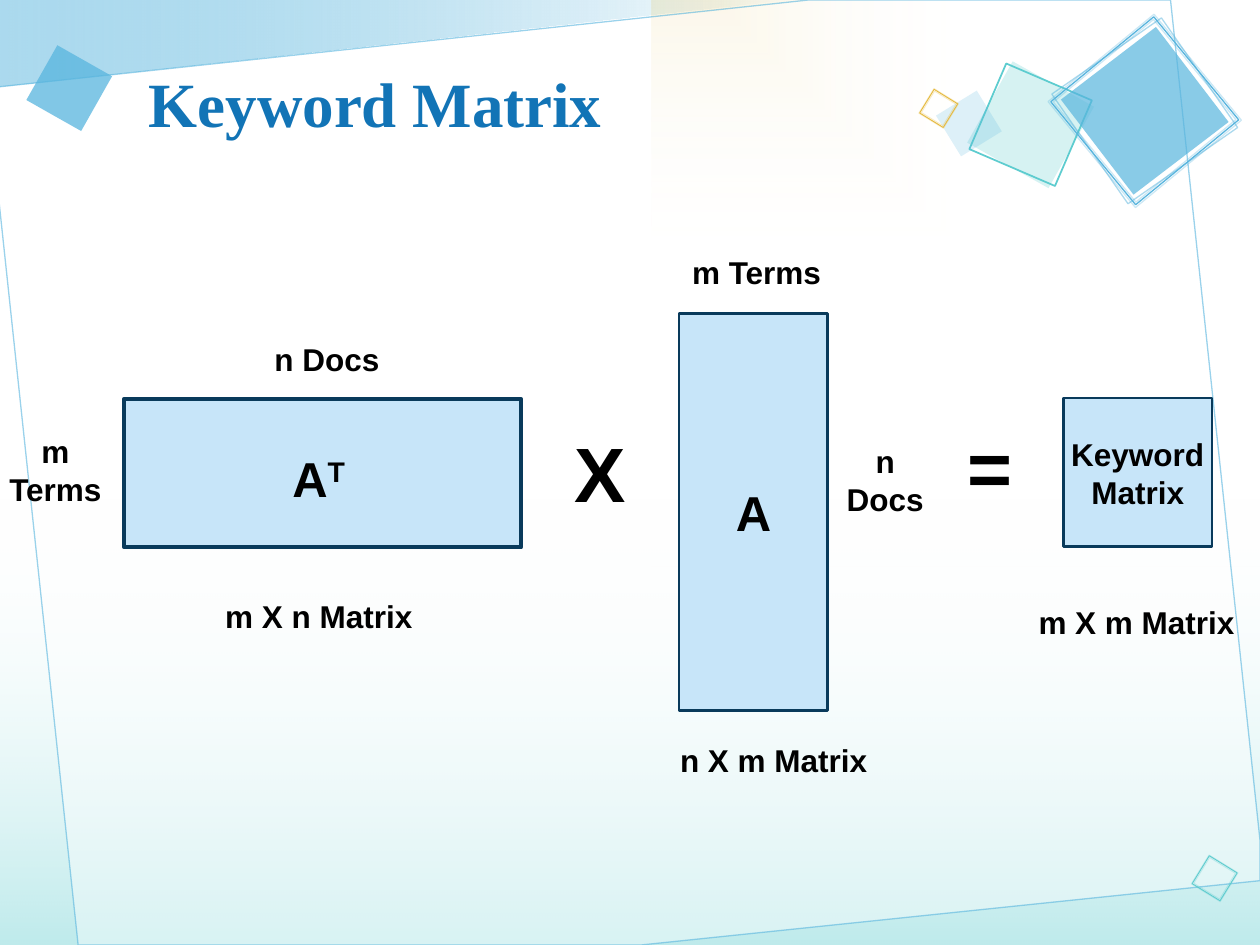
import pptx
import pptx.dml.color
import pptx.enum.shapes
import pptx.enum.text
import pptx.oxml
import pptx.oxml.ns
import pptx.util
from lxml import etree

THEME = {
    "blue": "58B5DE", "teal": "5DCCCF", "gold": "E6BA3E", "white": "FFFFFF",
    "title": "1274B6", "matrix": "C7E5F9", "edge": "093A5B", "ink": "000000",
    "title_font": "Times New Roman", "body_font": "Arial",
    "title_size": 36, "label_size": 18, "name_size": 28, "sign_size": 44,
}
qn = pptx.oxml.ns.qn
RECT = pptx.enum.shapes.MSO_SHAPE.RECTANGLE
ALIGN = pptx.enum.text.PP_ALIGN
ANCHOR = pptx.enum.text.MSO_ANCHOR
FIT = pptx.enum.text.MSO_AUTO_SIZE

prs = pptx.Presentation()
prs.slide_width = pptx.util.Inches(10)
prs.slide_height = pptx.util.Inches(7.5)
slide = prs.slides.add_slide(prs.slide_layouts[5])
shapes = slide.shapes

# Grid of 100 columns by 75 rows; every cell is square
cell = prs.slide_width // 100


def paint(shape, fill=(), line=None, angle=0):
    """Fill is a list of (colour, opacity) stops; line is (colour, points, opacity)."""
    shape.shadow.inherit = False
    colours = []
    if len(fill) == 2:
        shape.fill.gradient()
        shape.fill.gradient_angle = angle
        colours += [(stop.color, *tone) for stop, tone in zip(shape.fill.gradient_stops, fill)]
    elif fill:
        shape.fill.solid()
        colours.append((shape.fill.fore_color, *fill[0]))
    else:
        shape.fill.background()
    if line:
        shape.line.width = pptx.util.Pt(line[1])
        shape.line.fill.solid()
        colours.append((shape.line.color, line[0], line[2]))
    else:
        shape.line.fill.background()
    for colour, name, _ in colours:
        colour.rgb = pptx.dml.color.RGBColor.from_string(THEME[name])
    for node, tone in zip(shape.element.spPr.iter(qn("a:srgbClr")), colours):
        if tone[2] < 100:
            etree.SubElement(node, qn("a:alpha")).set("val", str(tone[2] * 1000))


def write(shape, text, size, align=ALIGN.CENTER, font="body_font", colour="ink"):
    shape.text_frame.text = text
    for paragraph in shape.text_frame.paragraphs:
        paragraph.alignment = align
        for run in paragraph.runs:
            run.font.name = THEME[font]
            run.font.size = pptx.util.Pt(THEME[size])
            run.font.bold = True
            run.font.color.rgb = pptx.dml.color.RGBColor.from_string(THEME[colour])


# Backdrop: corner wedge, bottom wash, gold glow and tilted sheet
wedge = [(0, 0), (0, 6.9), (63.3, 0)]
sheet = [(-0.1, 15.8), (6.2, 75), (50.9, 75), (100, 69.9), (100, 66.7),
         (92.9, 0), (64.2, 0), (-0.1, 6.9)]
outlines = []
for corners in (wedge, sheet):
    points = [(round(x * cell), round(y * cell)) for x, y in corners]
    builder = shapes.build_freeform(*points[0])
    builder.add_line_segments(points[1:], close=True)
    outlines.append(builder.convert_to_shape())
paint(outlines[0], [("blue", 50), ("white", 100)])

wash = shapes.add_shape(RECT, 0, 39.2 * cell, 100 * cell, 35.8 * cell)
paint(wash, [("white", 0), ("teal", 40)], angle=270)

glow = shapes.add_shape(RECT, 51.7 * cell, 0, 48.3 * cell, 45 * cell)
paint(glow, [("gold", 20), ("white", 0)])
glow.element.spPr.find(qn("a:xfrm")).set("flipH", "1")
direction = next(glow.element.spPr.iter(qn("a:lin")))
direction.getparent().replace(direction, pptx.oxml.parse_xml(
    f'<a:path {pptx.oxml.ns.nsdecls("a")} path="rect">'
    '<a:fillToRect l="0" t="0" r="100000" b="100000"/></a:path>'))

paint(outlines[1], [("white", 40)], ("blue", 0.75, 60))
shapes.element.append(outlines[1].element)

# Tilted squares: each cluster shares one centre; (side, turn, fill, line)
clusters = [
    (81.8, 9.9, [(7.4, 299.2, [("teal", 25)], None),
                 (7.4, 293.3, [], ("teal", 1, 100))]),
    (76.9, 9.8, [(3.8, 328.4, [("blue", 20)], None)]),
    (74.5, 8.6, [(2.2, 211.6, [], ("gold", 0.5, 100)),
                 (2, 211.6, [], ("gold", 0.5, 30)),
                 (2.3, 211.6, [], ("gold", 0.5, 30))]),
    (90.85, 8.8, [(9.5, 52.6, [("blue", 70)], None),
                  (10.6, 50.5, [], ("blue", 0.75, 100)),
                  (10.3, 50.5, [], ("blue", 0.75, 30)),
                  (10.9, 50.5, [], ("blue", 0.75, 30)),
                  (10.6, 55.2, [], ("blue", 0.75, 50))]),
    (5.5, 7, [(5, 29.5, [("blue", 75)], None)]),
    (96.4, 69.7, [(2.6, 211.6, [], ("teal", 0.5, 100)),
                  (2.4, 211.6, [], ("teal", 0.5, 30)),
                  (2.7, 211.6, [], ("teal", 0.5, 30))]),
]
for x, y, squares in clusters:
    for side, turn, fill, line in squares:
        square = shapes.add_shape(RECT, round((x - side / 2) * cell),
                                  round((y - side / 2) * cell),
                                  round(side * cell), round(side * cell))
        square.rotation = turn
        paint(square, fill, line)

# Title, brought in front of the backdrop
title = shapes.title
title.left, title.top, title.width, title.height = (
    round(share * cell) for share in (10.8, 3, 63.3, 10.3))
title.text_frame.vertical_anchor = ANCHOR.MIDDLE
write(title, "Keyword Matrix", "title_size", ALIGN.LEFT, "title_font", "title")
shapes.element.append(title.element)

# Matrices: the transpose is the same block turned a quarter
short, long = 11.8, 31.5
matrices = [
    (53.9, 24.9, long, 0, 1.5, "A", "name_size"),
    (19.7, 21.8, long, 90, 2.25, "", "name_size"),
    (84.4, 31.6, short, 0, 1.5, "Keyword\nMatrix", "label_size"),
]
for x, y, height, turn, weight, name, size in matrices:
    matrix = shapes.add_shape(RECT, round(x * cell), round(y * cell),
                              round(short * cell), round(height * cell))
    matrix.rotation = turn
    paint(matrix, [("matrix", 100)], ("edge", weight, 100))
    if name:
        matrix.text_frame.word_wrap = False
        matrix.text_frame.vertical_anchor = ANCHOR.MIDDLE
        write(matrix, name, size)

# Signs, dimensions and the name of the transpose
labels = [
    (44.3, 33.3, 6.7, 8.4, "X", "sign_size"),
    (75.2, 32.8, 6.7, 8.4, "=", "sign_size"),
    (12.7, 46.9, 25.2, 4, "m X n Matrix", "label_size"),
    (48.8, 58.3, 25.2, 4, "n X m Matrix", "label_size"),
    (77.6, 47.4, 25.2, 4, "m X m Matrix", "label_size"),
    (11.4, 26.5, 29.1, 4, "n Docs", "label_size"),
    (-0.4, 33.8, 9.6, 7.1, "m\nTerms", "label_size"),
    (53.9, 19.6, 12.3, 4, "m Terms", "label_size"),
    (55.7, 34.6, 29.1, 7.1, "n\nDocs", "label_size"),
    (14, 35.1, 22.6, 5.7, "A", "name_size"),
]
for x, y, width, height, text, size in labels:
    label = shapes.add_textbox(*(round(share * cell) for share in (x, y, width, height)))
    label.text_frame.word_wrap = True
    label.text_frame.auto_size = FIT.SHAPE_TO_FIT_TEXT
    write(label, text, size)

# Raised T after the last label
transpose = label.text_frame.paragraphs[0]
raised = transpose.add_run()
raised.text = "T"
raised.font.name = THEME["body_font"]
raised.font.size = pptx.util.Pt(THEME["name_size"])
raised.font.bold = True
raised.font.color.rgb = pptx.dml.color.RGBColor.from_string(THEME["ink"])
list(label.element.iter(qn("a:rPr")))[-1].set("baseline", "30000")

prs.save("out.pptx")
